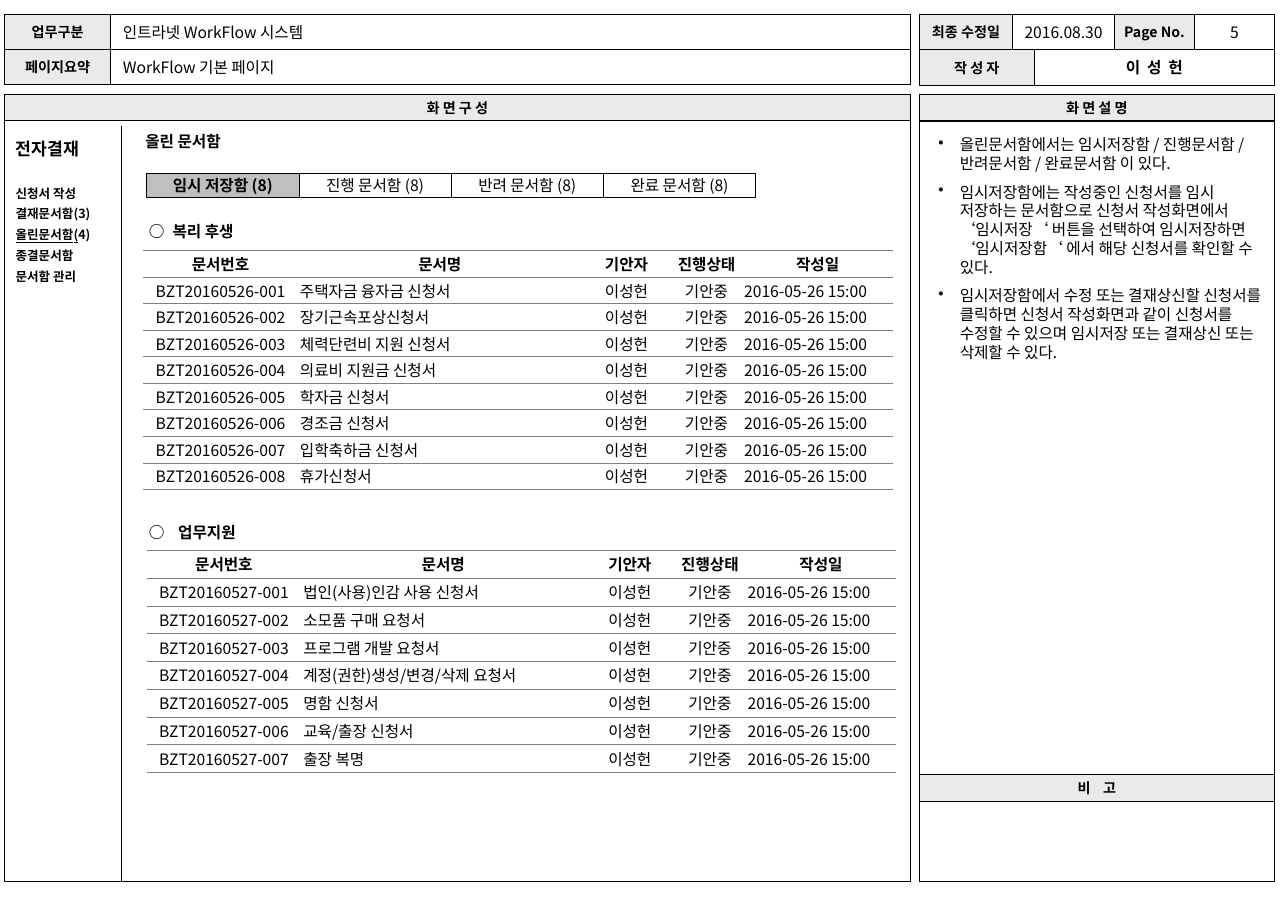
from lxml.etree import SubElement
from pptx import Presentation
from pptx.dml.color import RGBColor
from pptx.enum.shapes import MSO_CONNECTOR, MSO_SHAPE
from pptx.enum.text import MSO_ANCHOR as ANCHOR, PP_ALIGN as ALIGN
from pptx.oxml.ns import qn
from pptx.util import Inches, Pt

FONT = "Noto Sans CJK KR"
BLACK, GREY, LABEL, ACTIVE = "000000", "808080", "EAEAEA", "BFBFBF"

HEADERS = ["문서번호", "문서명", "기안자", "진행상태", "작성일"]
COLUMN_WIDTHS = [1.37, 2.52, 0.79, 0.63, 1.34]
LEFT_COLUMNS = (1, 4)
WELFARE_FORMS = [
    "주택자금 융자금 신청서", "장기근속포상신청서", "체력단련비 지원 신청서",
    "의료비 지원금 신청서", "학자금 신청서", "경조금 신청서",
    "입학축하금 신청서", "휴가신청서",
]
SUPPORT_FORMS = [
    "법인(사용)인감 사용 신청서", "소모품 구매 요청서", "프로그램 개발 요청서",
    "계정(권한)생성/변경/삭제 요청서", "명함 신청서", "교육/출장 신청서",
    "출장 복명",
]
DESCRIPTION = [
    "올린문서함에서는 임시저장함 / 진행문서함 / 반려문서함 / 완료문서함 이 있다.",
    "임시저장함에는 작성중인 신청서를 임시 저장하는 문서함으로 신청서 작성화면에서 "
    "‘임시저장‘ 버튼을 선택하여 임시저장하면 ‘임시저장함‘ 에서 해당 신청서를 확인할 수 있다.",
    "임시저장함에서 수정 또는 결재상신할 신청서를 클릭하면 신청서 작성화면과 같이 "
    "신청서를 수정할 수 있으며 임시저장 또는 결재상신 또는 삭제할 수 있다.",
]
MENU = ["신청서 작성", "결재문서함(3)", "올린문서함(4)", "종결문서함", "문서함 관리"]


def rgb(hex_colour):
    return RGBColor.from_string(hex_colour)


def style(p, size=10, bold=False, align=ALIGN.LEFT, tracking=0):
    """Format a whole paragraph; tracking is extra letter spacing in points."""
    p.alignment = align
    p.font.name, p.font.size, p.font.bold = FONT, Pt(size), bold
    p.font.color.rgb = rgb(BLACK)
    props = p._p.get_or_add_pPr().get_or_add_defRPr()
    latin = props.find(qn("a:latin"))
    east_asian = props.makeelement(qn("a:ea"), {"typeface": FONT})
    latin.addnext(east_asian)
    if tracking:
        for r in p.runs:
            r._r.get_or_add_rPr().set("spc", str(round(tracking * 100)))


def hang(p, indent, bullet=None):
    pPr = p._p.get_or_add_pPr()
    pPr.set("marL", str(Inches(indent)))
    pPr.set("indent", str(-Inches(indent)))
    if bullet:
        mark = pPr.makeelement(qn("a:buChar"), {"char": bullet})
        pPr.find(qn("a:defRPr")).addprevious(mark)


def set_margins(target, x, y):
    target.margin_left = target.margin_right = Inches(x)
    target.margin_top = target.margin_bottom = Inches(y)


def add_box(s, x, y, w, h, text="", fill=None, line=0.75, margin=0, **fmt):
    sp = s.shapes.add_shape(MSO_SHAPE.RECTANGLE, Inches(x), Inches(y), Inches(w), Inches(h))
    sp.shadow.inherit = False
    if fill:
        sp.fill.solid()
        sp.fill.fore_color.rgb = rgb(fill)
    else:
        sp.fill.background()
    sp.line.color.rgb = rgb(BLACK)
    sp.line.width = Pt(line)
    if text:
        tf = sp.text_frame
        set_margins(tf, margin, 0)
        tf.vertical_anchor = ANCHOR.MIDDLE
        tf.word_wrap = False
        tf.text = text
        style(tf.paragraphs[0], **{"align": ALIGN.CENTER, **fmt})


def add_label(s, x, y, w, h, text, tracking=0):
    add_box(s, x, y, w, h, text, LABEL, size=9, bold=True, tracking=tracking)


def add_text(s, x, y, w, h, lines, margins=(0.1, 0.05), **fmt):
    tf = s.shapes.add_textbox(Inches(x), Inches(y), Inches(w), Inches(h)).text_frame
    tf.word_wrap = True
    set_margins(tf, *margins)
    for i, text in enumerate(lines):
        p = tf.paragraphs[0] if i == 0 else tf.add_paragraph()
        p.text = text
        style(p, **fmt)
    return tf.paragraphs


def add_section_heading(s, y, text, indent):
    p = add_text(s, 1.3, y, 1.35, 0.21, ["○\t" + text], (0.02, 0.02), bold=True)[0]
    hang(p, indent)


def add_cell_rules(cell):
    tcPr = cell._tc.get_or_add_tcPr()
    for i, side in enumerate(("a:lnL", "a:lnR", "a:lnT", "a:lnB")):
        ln = tcPr.makeelement(qn(side), {"w": str(Pt(0.25))})
        if side in ("a:lnT", "a:lnB"):
            solid = SubElement(ln, qn("a:solidFill"))
            SubElement(solid, qn("a:srgbClr"), {"val": GREY})
        else:
            SubElement(ln, qn("a:noFill"))
        tcPr.insert(i, ln)


def add_documents(s, x, y, h, date_code, forms):
    rows = [HEADERS] + [
        [f"BZT{date_code}-{n:03}", form, "이성헌", "기안중", "2016-05-26 15:00"]
        for n, form in enumerate(forms, 1)
    ]
    table = s.shapes.add_table(len(rows), len(HEADERS), Inches(x), Inches(y),
                               Inches(sum(COLUMN_WIDTHS)), Inches(h)).table
    table.first_row = table.horz_banding = False
    for column, width in zip(table.columns, COLUMN_WIDTHS):
        column.width = Inches(width)
    for i, row in enumerate(rows):
        table.rows[i].height = Inches(h / len(rows))
        for j, text in enumerate(row):
            cell = table.cell(i, j)
            cell.text = text
            cell.fill.background()
            cell.vertical_anchor = ANCHOR.MIDDLE
            set_margins(cell, 0.02, 0.02)
            left = i > 0 and j in LEFT_COLUMNS
            style(cell.text_frame.paragraphs[0], bold=i == 0,
                  align=ALIGN.LEFT if left else ALIGN.CENTER)
            add_cell_rules(cell)


def add_title(s, text):
    title = s.shapes.title
    title.left, title.top = Inches(0.98), Inches(0.44)
    title.width, title.height = Inches(7.09), Inches(0.31)
    tf = title.text_frame
    set_margins(tf, 0.11, 0)
    tf.vertical_anchor = ANCHOR.MIDDLE
    tf.text = text
    style(tf.paragraphs[0])


def add_page_frame(s):
    # Header, left
    add_label(s, 0.04, 0.13, 0.94, 0.31, "업무구분")
    add_box(s, 0.98, 0.13, 7.09, 0.31, "인트라넷 WorkFlow 시스템", margin=0.11, align=ALIGN.LEFT)
    add_label(s, 0.04, 0.44, 0.94, 0.31, "페이지요약")
    add_box(s, 0.98, 0.44, 7.09, 0.31)
    # Header, right
    add_label(s, 8.15, 0.13, 0.83, 0.31, "최종 수정일")
    add_box(s, 8.98, 0.13, 0.9, 0.31, "2016.08.30")
    add_label(s, 9.88, 0.13, 0.71, 0.31, "Page No.")
    add_box(s, 10.59, 0.13, 0.71, 0.31, "5")
    add_label(s, 8.15, 0.44, 1.02, 0.32, "작 성 자")
    add_box(s, 9.17, 0.44, 2.13, 0.32, "이 성 헌", bold=True, tracking=1.1)
    # Screen, description and remarks panels
    add_label(s, 0.04, 0.84, 8.03, 0.23, "화 면 구 성")
    add_box(s, 0.04, 1.07, 8.03, 6.75)
    add_label(s, 8.15, 0.84, 3.15, 0.24, "화 면 설 명")
    add_box(s, 8.15, 1.07, 3.15, 5.8)
    add_label(s, 8.15, 6.87, 3.15, 0.24, "비 고", tracking=3)
    add_box(s, 8.15, 7.11, 3.15, 0.71)


def add_sidebar(s):
    divider = s.shapes.add_connector(MSO_CONNECTOR.STRAIGHT, Inches(1.08), Inches(1.12),
                                     Inches(1.08), Inches(7.82))
    divider.line.color.rgb = rgb(BLACK)
    divider.line.width = Pt(0.75)
    SubElement(divider._element.spPr, qn("a:effectLst"))

    heading, *items = add_text(s, 0.04, 1.1, 1.02, 1.47, ["전자결재"] + MENU, size=8, bold=True)
    heading.font.size = Pt(11)
    for p in (heading, *items):
        p.line_spacing = 1.4
    items[0].space_before = Pt(13.4)
    # Current menu entry: its name is underlined, its count is not
    current = items[2]
    current.runs[0].text = "올린문서함("
    current.runs[0].font.underline = True
    current.add_run().text = "4)"


def main():
    prs = Presentation()
    prs.slide_width, prs.slide_height = Inches(11.42), Inches(8.07)
    s = prs.slides.add_slide(prs.slide_layouts[5])

    add_page_frame(s)
    add_title(s, "WorkFlow 기본 페이지")
    add_sidebar(s)

    # Document box tabs
    add_text(s, 1.19, 1.12, 0.94, 0.27, ["올린 문서함"], bold=True)
    for i, state in enumerate(["임시 저장함", "진행 문서함", "반려 문서함", "완료 문서함"]):
        add_box(s, 1.3 + 1.35 * i, 1.54, 1.35, 0.21, f"{state} (8)",
                ACTIVE if i == 0 else None, line=0.25, bold=i == 0)

    # Document lists
    add_section_heading(s, 1.95, "복리 후생", 0.21)
    add_documents(s, 1.27, 2.22, 2.12, "20160526", WELFARE_FORMS)
    add_section_heading(s, 4.62, "업무지원", 0.26)
    add_documents(s, 1.3, 4.88, 1.97, "20160527", SUPPORT_FORMS)

    # Screen description
    for p in add_text(s, 8.32, 1.2, 2.93, 2.02, DESCRIPTION, (0, 0)):
        p.space_before = Pt(6)
        hang(p, 0.19, "•")

    prs.save("out.pptx")


if __name__ == "__main__":
    main()
